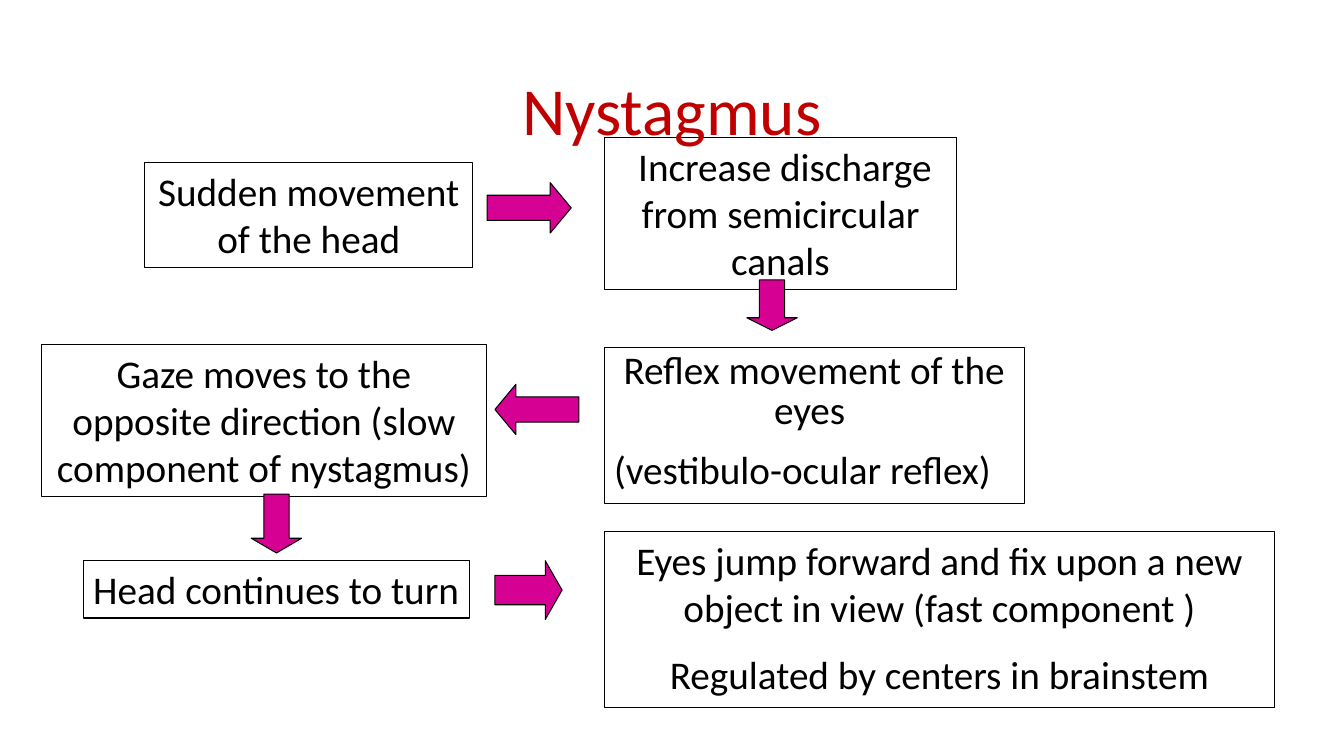
import pptx
import pptx.util
import pptx.dml.color
import pptx.enum.shapes
import pptx.enum.text
from dataclasses import dataclass

Pt = pptx.util.Pt
RGB = pptx.dml.color.RGBColor
Kind = pptx.enum.shapes.MSO_SHAPE
Align = pptx.enum.text.PP_ALIGN
Anchor = pptx.enum.text.MSO_ANCHOR
Fit = pptx.enum.text.MSO_AUTO_SIZE


@dataclass(frozen=True)
class Theme:
    font: str = "Calibri"
    ink: RGB = RGB(0, 0, 0)
    red: RGB = RGB(0xC0, 0, 0)
    pink: RGB = RGB(0xD6, 0, 0x93)
    head: float = 48
    body: float = 28
    line: float = 0.75


THEME = Theme()
MID, LEFT = Align.CENTER, Align.LEFT
COL = 402  # left edge of the right-hand steps

# Steps: box in the chart, line spacing, wrap, (text, alignment) per paragraph
STEPS = [
    ((74, 18, 234, 75), 1, True, [("Sudden movement of the head", MID)]),
    ((COL, 0, 252, 109), 1, True,
     [(" Increase discharge from semicircular canals", MID)]),
    ((COL, 150.5, 300, 111), 0.85, True,
     [("Reflex movement of the eyes ", MID),
      ("(vestibulo-ocular reflex)", LEFT)]),
    ((0, 148, 318, 109), 1, True,
     [("Gaze moves to the opposite direction (slow component of nystagmus)",
       MID)]),
    ((30, 302.5, 276, 41), 1, False, [("Head continues to turn", LEFT)]),
    ((COL, 281.5, 479, 126), 1, True,
     [("Eyes jump forward and fix upon a new object in view (fast component )",
       MID),
      ("Regulated by centers in brainstem", MID)]),
]
ARROWS = [
    (Kind.RIGHT_ARROW, (318.5, 32.5, 60, 36)),
    (Kind.DOWN_ARROW, (504, 102, 36, 36)),
    (Kind.LEFT_ARROW, (324, 176.5, 60, 36)),
    (Kind.DOWN_ARROW, (150, 255, 36, 42)),
    (Kind.RIGHT_ARROW, (324, 302.5, 48, 42)),
]


def write(para, text, size, color):
    run = para.add_run()
    run.text = text
    run.font.name = THEME.font
    run.font.size = Pt(size)
    run.font.color.rgb = color


def outline(slide, kind, box):
    shape = slide.shapes.add_shape(kind, *map(Pt, box))
    shape.shadow.inherit = False
    shape.line.color.rgb = THEME.ink
    shape.line.width = Pt(THEME.line)
    return shape


def step(slide, box, space, wrap, lines):
    shape = outline(slide, Kind.RECTANGLE, box)
    shape.fill.background()
    frame = shape.text_frame
    frame.word_wrap = wrap
    frame.auto_size = Fit.NONE
    frame.vertical_anchor = Anchor.TOP
    for i, (text, align) in enumerate(lines):
        para = frame.add_paragraph() if i else frame.paragraphs[0]
        para.alignment = align
        para.line_spacing = space
        if i:
            para.space_before = Pt(THEME.body / 2)
        write(para, text, THEME.body, THEME.ink)


def arrow(slide, kind, box):
    """Draw a block arrow whose head takes a quarter of its length."""
    wide, high = box[2:]
    shape = outline(slide, kind, box)
    shape.fill.solid()
    shape.fill.fore_color.rgb = THEME.pink
    size = high if kind == Kind.DOWN_ARROW else wide
    shape.adjustments[0] = 0.5
    shape.adjustments[1] = size / 4 / min(wide, high)


def chart(slide, left, top):
    """Place the steps and arrows from the chart's top left corner."""
    def shift(box):
        return (left + box[0], top + box[1], *box[2:])

    for box, space, wrap, lines in STEPS:
        step(slide, shift(box), space, wrap, lines)
    for kind, box in ARROWS:
        arrow(slide, kind, shift(box))


def title(slide, box):
    """Format the title and bring it in front of the chart."""
    shape = slide.shapes.title
    shape.left, shape.top, shape.width, shape.height = map(Pt, box)
    frame = shape.text_frame
    frame.word_wrap = True
    frame.auto_size = Fit.NONE
    frame.vertical_anchor = Anchor.MIDDLE
    para = frame.paragraphs[0]
    para.alignment = MID
    para.line_spacing = 0.9
    write(para, "Nystagmus", THEME.head, THEME.red)
    slide.shapes.element.append(shape.element)


def main():
    deck = pptx.Presentation()
    deck.slide_width, deck.slide_height = Pt(960), Pt(540)
    slide = deck.slides.add_slide(deck.slide_layouts[5])
    chart(slide, 29.5, 98)
    title(slide, (66, 29, 828, 104))
    deck.save("out.pptx")


if __name__ == "__main__":
    main()
